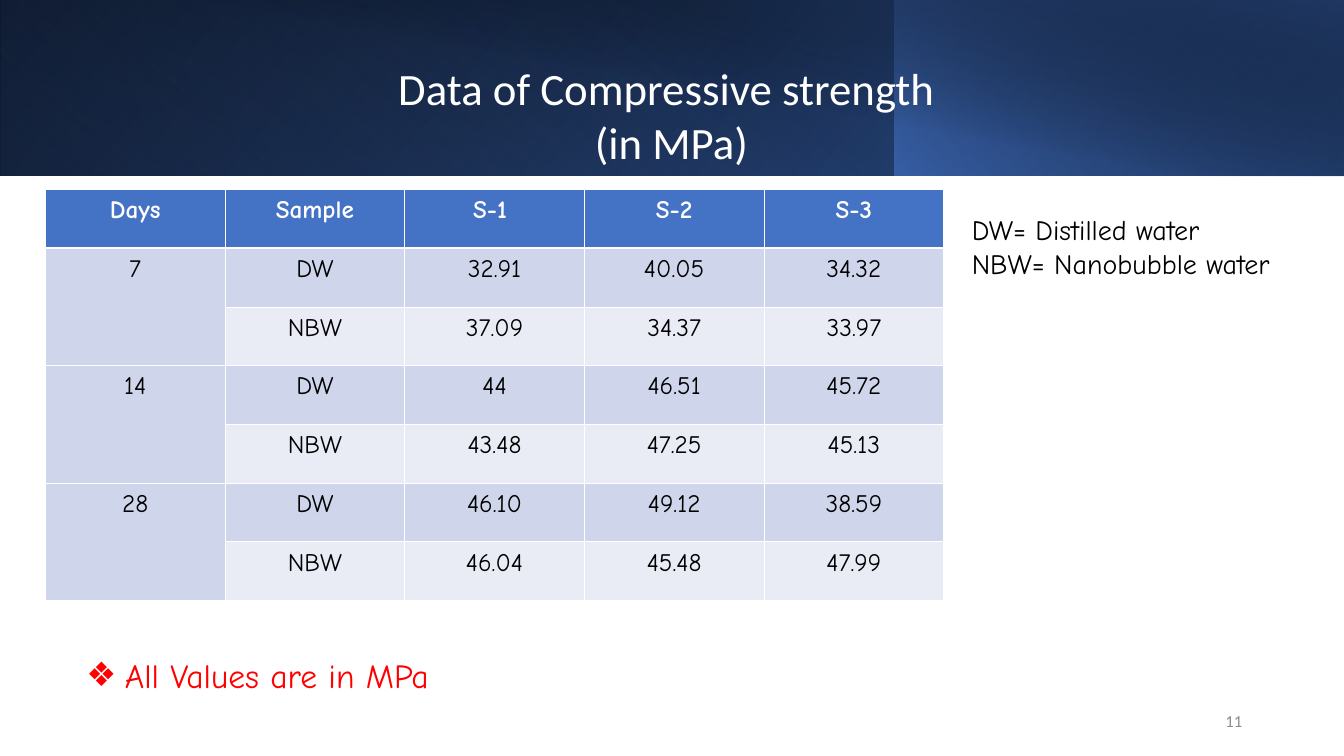
from lxml import etree
from pptx import Presentation
from pptx.dml.color import RGBColor
from pptx.enum.shapes import MSO_SHAPE
from pptx.enum.text import MSO_ANCHOR, MSO_AUTO_SIZE, PP_ALIGN
from pptx.oxml import parse_xml
from pptx.oxml.ns import nsdecls, qn
from pptx.util import Inches, Pt

COLORS = {
    "white": "FFFFFF", "black": "000000", "gray": "8C8C8C", "red": "FF0000",
    "blue": "4472C4", "deep_blue": "2F5597", "navy": "203864",
    "band": "CFD5EA", "light_band": "E9EBF5",
}


class StrengthSlide:
    heading_font = "Calibri"
    body_font = "Comic Neue"

    def __init__(self, presentation):
        self.slide = presentation.slides.add_slide(presentation.slide_layouts[5])

    def gradient(self, left, width, height, stops, angle, flip=True, rotation=0):
        shape = self.slide.shapes.add_shape(
            MSO_SHAPE.RECTANGLE, Inches(left), 0, Inches(width), Inches(height))
        shape.shadow.inherit = False
        shape.line.fill.background()
        shape.rotation = rotation
        properties = shape.element.spPr
        if flip:
            properties.find(qn("a:xfrm")).set("flipH", "1")
        stop_xml = "".join(
            f'<a:gs pos="{position * 1000}"><a:srgbClr val="{COLORS[color]}">'
            f'<a:alpha val="{opacity * 1000}"/></a:srgbClr></a:gs>'
            for position, color, opacity in stops)
        fill = parse_xml(
            f'<a:gradFill {nsdecls("a")} rotWithShape="1"><a:gsLst>{stop_xml}</a:gsLst>'
            f'<a:lin ang="{angle * 60000}" scaled="0"/></a:gradFill>')
        properties.find(qn("a:prstGeom")).addnext(fill)

    def run(self, paragraph, text, size, color, font=body_font, bold=False):
        run = paragraph.add_run()
        run.text = text
        run.font.name = font
        run.font.size = Pt(size)
        run.font.bold = bold
        run.font.color.rgb = RGBColor.from_string(COLORS[color])

    def title(self, lines, left, top, width, height):
        title = self.slide.shapes.title
        title.left, title.top = Inches(left), Inches(top)
        title.width, title.height = Inches(width), Inches(height)
        title.element.getparent().append(title.element)
        frame = title.text_frame
        frame.word_wrap = True
        frame.auto_size = MSO_AUTO_SIZE.SHAPE_TO_FIT_TEXT
        frame.vertical_anchor = MSO_ANCHOR.TOP
        paragraph = frame.paragraphs[0]
        paragraph.alignment = PP_ALIGN.CENTER
        paragraph.line_spacing = 1.0
        paragraph.space_before = Pt(0)
        for index, line in enumerate(lines):
            if index:
                paragraph.add_line_break()
            self.run(paragraph, line, 32, "white", self.heading_font)

    def text(self, lines, left, top, width, height, size, color, font=body_font,
             align=PP_ALIGN.LEFT, anchor=MSO_ANCHOR.TOP, bullet=None):
        box = self.slide.shapes.add_textbox(
            Inches(left), Inches(top), Inches(width), Inches(height))
        frame = box.text_frame
        frame.word_wrap = True
        frame.vertical_anchor = anchor
        for index, line in enumerate(lines):
            paragraph = frame.add_paragraph() if index else frame.paragraphs[0]
            paragraph.alignment = align
            self.run(paragraph, line, size, color, font)
            if bullet:
                properties = paragraph._p.get_or_add_pPr()
                properties.set("marL", str(Inches(0.38)))
                properties.set("indent", str(-Inches(0.38)))
                etree.SubElement(properties, qn("a:buFont"), typeface="Arial")
                etree.SubElement(properties, qn("a:buChar"), char=bullet)

    def cell(self, cell, text, fill, color, bold, top_line, bottom_line):
        paragraph = cell.text_frame.paragraphs[0]
        paragraph.alignment = PP_ALIGN.CENTER
        paragraph.line_spacing = Pt(21.8)
        if text:
            self.run(paragraph, text, 18, color, bold=bold)
        properties = cell._tc.get_or_add_tcPr()
        for side, width in zip("LRTB", (0.75, 0.75, top_line, bottom_line)):
            properties.append(parse_xml(
                f'<a:ln{side} {nsdecls("a")} w="{Pt(width)}"><a:solidFill>'
                f'<a:srgbClr val="{COLORS["white"]}"/></a:solidFill></a:ln{side}>'))
        cell.fill.solid()
        cell.fill.fore_color.rgb = RGBColor.from_string(COLORS[fill])

    def table(self, rows, left, top, width, height):
        table = self.slide.shapes.add_table(
            len(rows), len(rows[0]), Inches(left), Inches(top),
            Inches(width), Inches(height)).table
        for row_index, row in enumerate(rows):
            header = row_index == 0
            for column_index, text in enumerate(row):
                banded = row_index % 2 == 1 or column_index == 0
                fill = "blue" if header else "band" if banded else "light_band"
                self.cell(table.cell(row_index, column_index), text, fill,
                          "white" if header else "black", header,
                          2.07 if row_index == 1 else 0.75, 2.07 if header else 0.75)
        for row_index in range(1, len(rows), 2):
            table.cell(row_index, 0).merge(table.cell(row_index + 1, 0))


def main():
    presentation = Presentation()
    presentation.slide_width = Inches(13.33)
    presentation.slide_height = Inches(7.5)
    page = StrengthSlide(presentation)

    page.gradient(0, 13.33, 1.74, [(0, "black", 100), (100, "deep_blue", 100)], 140)
    page.gradient(0, 8.88, 1.74, [(20, "blue", 0), (100, "navy", 55)], 230, rotation=180)
    page.gradient(8.87, 4.46, 1.74, [(0, "blue", 66), (100, "black", 30)], 220)
    page.gradient(0.5, 12.83, 1.75, [(50, "black", 0), (99, "navy", 52)], 280, flip=False)
    page.title(["Data of Compressive strength ", "(in MPa)"], 0.44, 0.55, 12.44, 1.18)
    page.text(["11"], 9.42, 6.95, 3, 0.4, 12, "gray", page.heading_font,
              PP_ALIGN.RIGHT, MSO_ANCHOR.MIDDLE)

    strengths = [
        ["Days", "Sample", "S-1 ", "S-2", "S-3"],
        ["7", "DW", "32.91", "40.05", "34.32"],
        ["", "NBW", "37.09", "34.37", "33.97"],
        ["14", "DW", "44", "46.51", "45.72"],
        ["", "NBW", "43.48", "47.25", "45.13"],
        ["28", "DW", "46.10", "49.12", "38.59"],
        ["", "NBW", "46.04", "45.48", "47.99"],
    ]
    page.table(strengths, 0.45, 1.88, 8.91, 4.08)
    page.text(["All Values are in MPa"], 0.76, 6.45, 4.3, 0.5, 24, "red", bullet="❖")
    page.text(["DW= Distilled water", "NBW= Nanobubble water"],
              9.54, 2.06, 3.54, 0.77, 20, "black")
    presentation.save("out.pptx")


if __name__ == "__main__":
    main()
